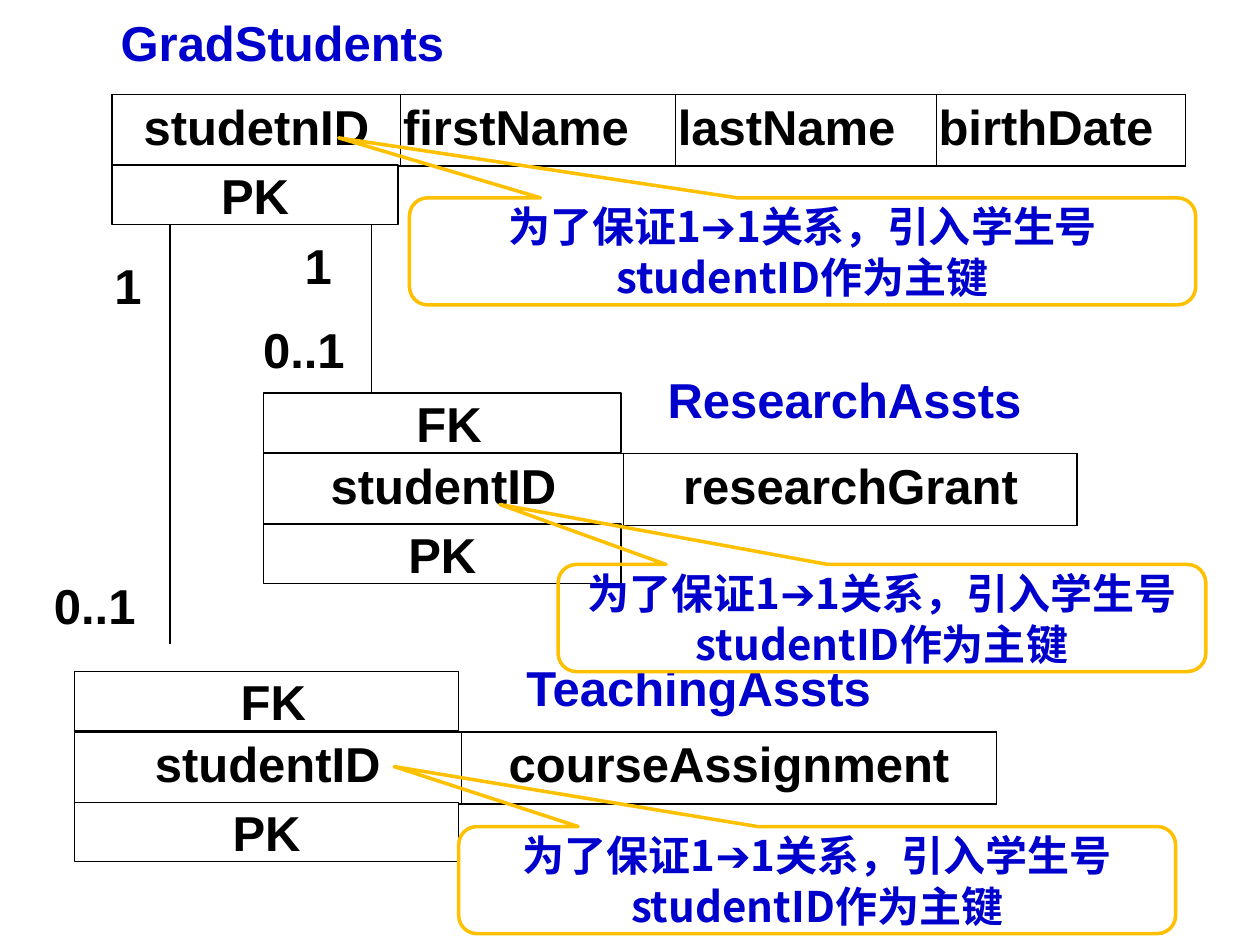
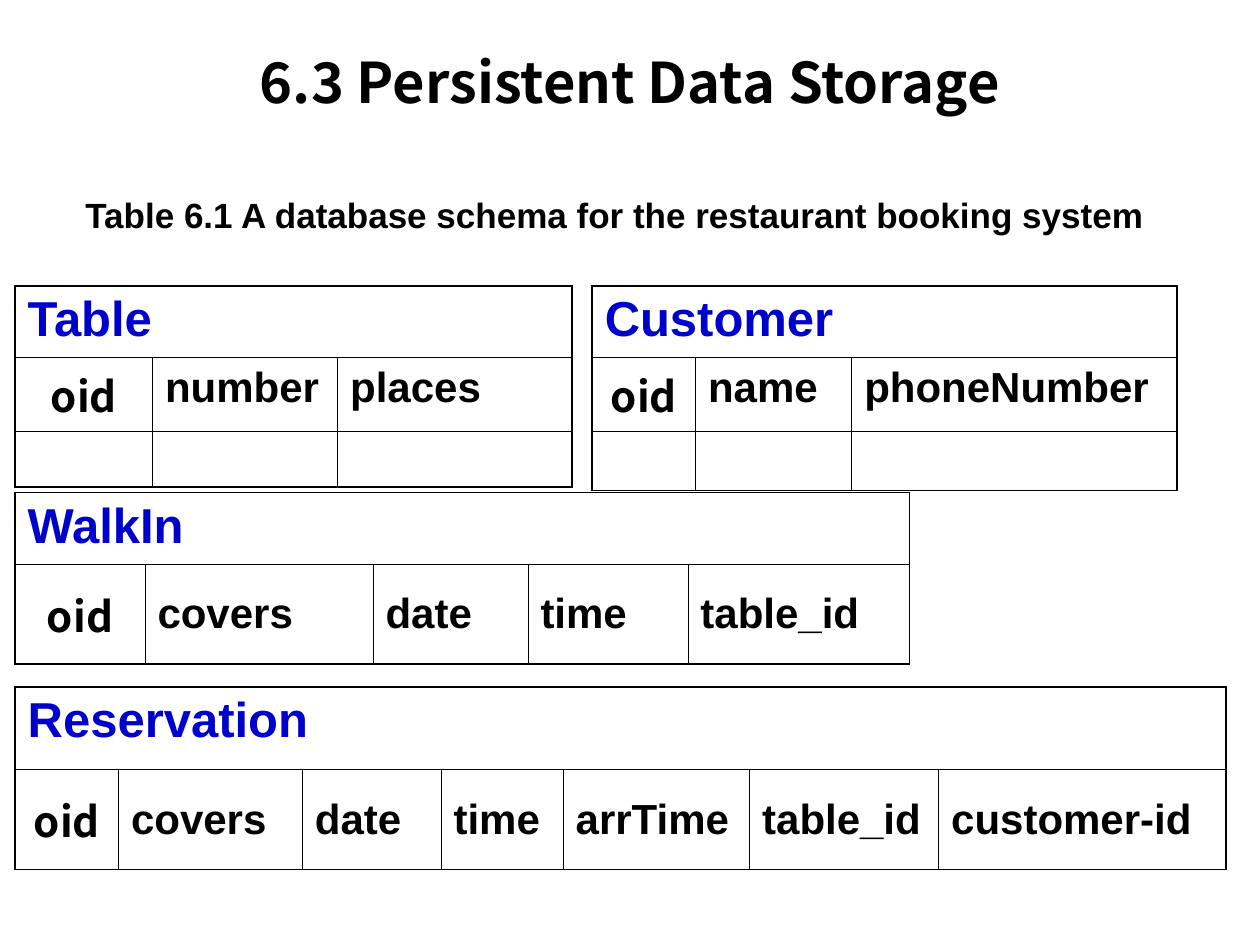
from lxml import etree
from pptx import Presentation
from pptx.dml.color import RGBColor
from pptx.enum.shapes import MSO_CONNECTOR, MSO_SHAPE
from pptx.enum.text import MSO_ANCHOR, MSO_AUTO_SIZE, PP_ALIGN
from pptx.oxml.ns import qn
from pptx.util import Inches, Pt

RECT = MSO_SHAPE.RECTANGLE
CALLOUT = MSO_SHAPE.ROUNDED_RECTANGULAR_CALLOUT
STRAIGHT = MSO_CONNECTOR.STRAIGHT
TOP, MIDDLE = MSO_ANCHOR.TOP, MSO_ANCHOR.MIDDLE
GROW = MSO_AUTO_SIZE.SHAPE_TO_FIT_TEXT
LEFT, CENTER = PP_ALIGN.LEFT, PP_ALIGN.CENTER

COLORS = {"ink": "000000", "name": "0000CC", "paper": "FFFFFF", "note": "FFC000"}
LATIN, CJK = "Arial", "Noto Sans CJK SC"
OUTER, INNER = 1.08, 0.45
ROW_H, KEY_H = 5.7, 4.7
WIDTH, HEIGHT = Inches(10), Inches(7.5)
COL, ROW = WIDTH / 100, HEIGHT / 75


def color(name):
    return RGBColor.from_string(COLORS[name])


def grid(x, y, w, h):
    return int(x * COL), int(y * ROW), int(w * COL), int(h * ROW)


def set_face(font, face):
    font.name = face
    latin = font._rPr.find(qn("a:latin"))
    latin.addnext(etree.Element(qn("a:ea"), typeface=face))


def style(p, size, ink="ink", face=LATIN, align=LEFT):
    p.alignment = align
    p.font.size = Pt(size)
    p.font.bold = True
    p.font.color.rgb = color(ink)
    if face:
        set_face(p.font, face)


def set_borders(cell, widths):
    tcPr = cell._tc.get_or_add_tcPr()
    for i, (side, width) in enumerate(zip("LRTB", widths)):
        ln = etree.Element(qn(f"a:ln{side}"), w=str(Pt(width)))
        fill = etree.SubElement(ln, qn("a:solidFill"))
        etree.SubElement(fill, qn("a:srgbClr"), val=COLORS["ink"])
        tcPr.insert(i, ln)


def add_grid(s, x, y, cols, rows):
    table = s.shapes.add_table(len(rows), len(cols), *grid(x, y, sum(cols), sum(rows))).table
    table.first_row = table.horz_banding = False
    for column, w in zip(table.columns, cols):
        column.width = int(w * COL)
    for row, h in zip(table.rows, rows):
        row.height = int(h * ROW)
    return table


def finish_grid(table):
    last_row, last_col = len(table.rows) - 1, len(table.columns) - 1
    for r, row in enumerate(table.rows):
        for c, cell in enumerate(row.cells):
            right = c + (cell.span_width if cell.is_merge_origin else 1) - 1
            edges = (c == 0, right == last_col, r == 0, r == last_row)
            cell.fill.background()
            set_borders(cell, [OUTER if edge else INNER for edge in edges])


def fill_cell(cell, text, size, **kwargs):
    cell.text = text
    style(cell.text_frame.paragraphs[0], size, **kwargs)


def text_box(s, box, text, ink="ink", align=LEFT, outlined=False, wrap=False):
    sp = s.shapes.add_shape(RECT, *grid(*box))
    sp.shadow.inherit = False
    sp.fill.solid()
    sp.fill.fore_color.rgb = color("paper")
    tf = sp.text_frame
    tf.word_wrap = wrap
    tf.text = text
    style(tf.paragraphs[0], 28, ink, align=align)
    if outlined:
        sp.line.color.rgb = color("ink")
        sp.line.width = Pt(0.75)
        tf.vertical_anchor = MIDDLE
    else:
        sp.line.fill.background()
        tf.vertical_anchor = TOP
        tf.auto_size = GROW


def entity(s, x, y, name, name_box, fields, aligns, foreign):
    table = add_grid(s, x, y, [w for _, w in fields], [ROW_H])
    for cell, (field, _), align in zip(table.rows[0].cells, fields, aligns):
        cell.margin_left = cell.margin_right = Inches(0.02)
        fill_cell(cell, field, 28, align=align)
    finish_grid(table)
    keys = [("PK", y + 5.6)]
    if foreign:
        keys.append((" FK", y - 4.8))
    for key, top in keys:
        text_box(s, (x, top, fields[0][1] - 0.2, KEY_H), key, align=CENTER, outlined=True)
    text_box(s, (*name_box, ROW_H), name, "name")


def relation(s, x, top, bottom, ends):
    line = s.shapes.add_connector(STRAIGHT, *(int(v) for v in (x * COL, top * ROW, x * COL, bottom * ROW)))
    line.line.color.rgb = color("ink")
    line.line.width = Pt(0.75)
    etree.SubElement(line._element.spPr, qn("a:effectLst"))
    for text, left, y, w in ends:
        text_box(s, (left, y, w, ROW_H), text, wrap=True)


def key_note(s, x, y, w):
    sp = s.shapes.add_shape(CALLOUT, *grid(x, y, w, 8.5))
    sp.shadow.inherit = False
    sp.fill.background()
    sp.line.color.rgb = color("note")
    sp.line.width = Pt(2)
    for i, value in enumerate((-0.59, -1.06, 0.17)):
        sp.adjustments[i] = value
    tf = sp.text_frame
    tf.word_wrap = True
    tf.vertical_anchor = MIDDLE
    p = tf.paragraphs[0]
    style(p, 24, "name", None, CENTER)
    for text, face in (("为了保证1", CJK), ("➔", LATIN), ("1关系，引入学生号studentID作为主键", CJK)):
        r = p.add_run()
        r.text = text
        set_face(r.font, face)


def schema_table(s, x, y, name, fields, rows, anchor):
    table = add_grid(s, x, y, [w for _, w in fields], rows)
    header = table.cell(0, 0)
    header.merge(table.cell(0, len(fields) - 1))
    fill_cell(header, name, 28, ink="name")
    for c, (field, _) in enumerate(fields):
        cell = table.cell(1, c)
        cell.vertical_anchor = anchor
        face, align = (LATIN, LEFT) if c else (CJK, CENTER)
        fill_cell(cell, field, 24, face=face, align=align)
    finish_grid(table)


def relations_slide(prs):
    s = prs.slides.add_slide(prs.slide_layouts[6])
    entity(s, 8.9, 7.5, "GradStudents", (8.6, 0.5, 27.7),
           [("studetnID", 22.9), ("firstName", 21.8), ("lastName", 20.7), ("birthDate", 19.8)],
           [CENTER, LEFT, LEFT, LEFT], False)
    entity(s, 20.9, 36, "ResearchAssts", (52, 28.8, 31),
           [("studentID", 28.6), ("researchGrant", 36)], [CENTER] * 2, True)
    entity(s, 5.9, 58.1, "TeachingAssts", (40.8, 51.7, 29.6),
           [("studentID", 30.7), ("courseAssignment", 42.5)], [CENTER] * 2, True)
    relation(s, 29.5, 17.8, 31.2, [("1", 23.2, 18.2, 4.3), ("0..1", 19.9, 24.9, 9)])
    relation(s, 13.5, 17.8, 51.1, [("1", 8.1, 19.8, 3.7), ("0..1", 3.3, 45.2, 8.7)])
    for note in ((32.5, 15.7, 62.4), (44.3, 44.8, 51.4), (36.4, 65.6, 56.9)):
        key_note(s, *note)


def storage_slide(prs):
    s = prs.slides.add_slide(prs.slide_layouts[5])
    schema_table(s, 1.2, 22.7, "Table",
                 [("oid", 10.9), ("number", 14.7), ("places", 18.6)], [ROW_H, 5.3, 4.4], TOP)
    schema_table(s, 47, 22.7, "Customer",
                 [("oid", 8.2), ("name", 12.4), ("phoneNumber", 25.8)], [ROW_H, 5.3, 4.7], TOP)
    schema_table(s, 1.2, 39.1, "WalkIn",
                 [("oid", 10.3), ("covers", 18.1), ("date", 12.3), ("time", 12.7), ("table_id", 17.6)],
                 [ROW_H, 7.9], MIDDLE)
    schema_table(s, 1.2, 54.5, "Reservation",
                 [("oid", 8.2), ("covers", 14.6), ("date", 11), ("time", 9.7), ("arrTime", 14.8),
                  ("table_id", 15), ("customer-id", 22.8)],
                 [6.6, 7.9], MIDDLE)
    caption = s.shapes.add_textbox(*grid(5.8, 15.5, 86.4, 3.7)).text_frame
    caption.word_wrap = False
    caption.auto_size = GROW
    caption.text = "Table 6.1 A database schema for the restaurant booking system"
    style(caption.paragraphs[0], 20)
    caption.paragraphs[0].line_spacing = 0.8
    title = s.shapes.title
    title.left, title.top, title.width, title.height = grid(5, 3, 90, 6.9)
    title.text_frame.text = "6.3 Persistent Data Storage"
    title.text_frame.vertical_anchor = MIDDLE
    style(title.text_frame.paragraphs[0], 32, face=CJK, align=CENTER)


def main():
    prs = Presentation()
    prs.slide_width, prs.slide_height = WIDTH, HEIGHT
    relations_slide(prs)
    storage_slide(prs)
    prs.save("out.pptx")


if __name__ == "__main__":
    main()
